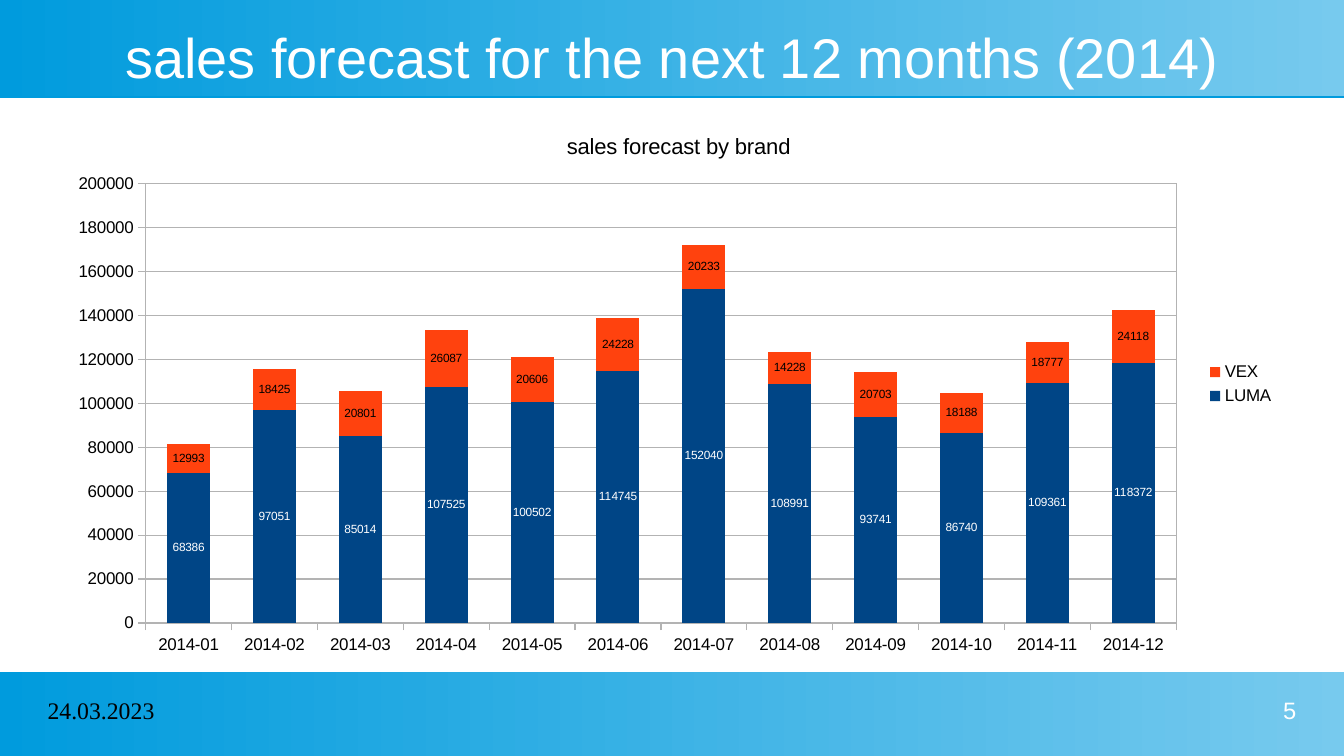
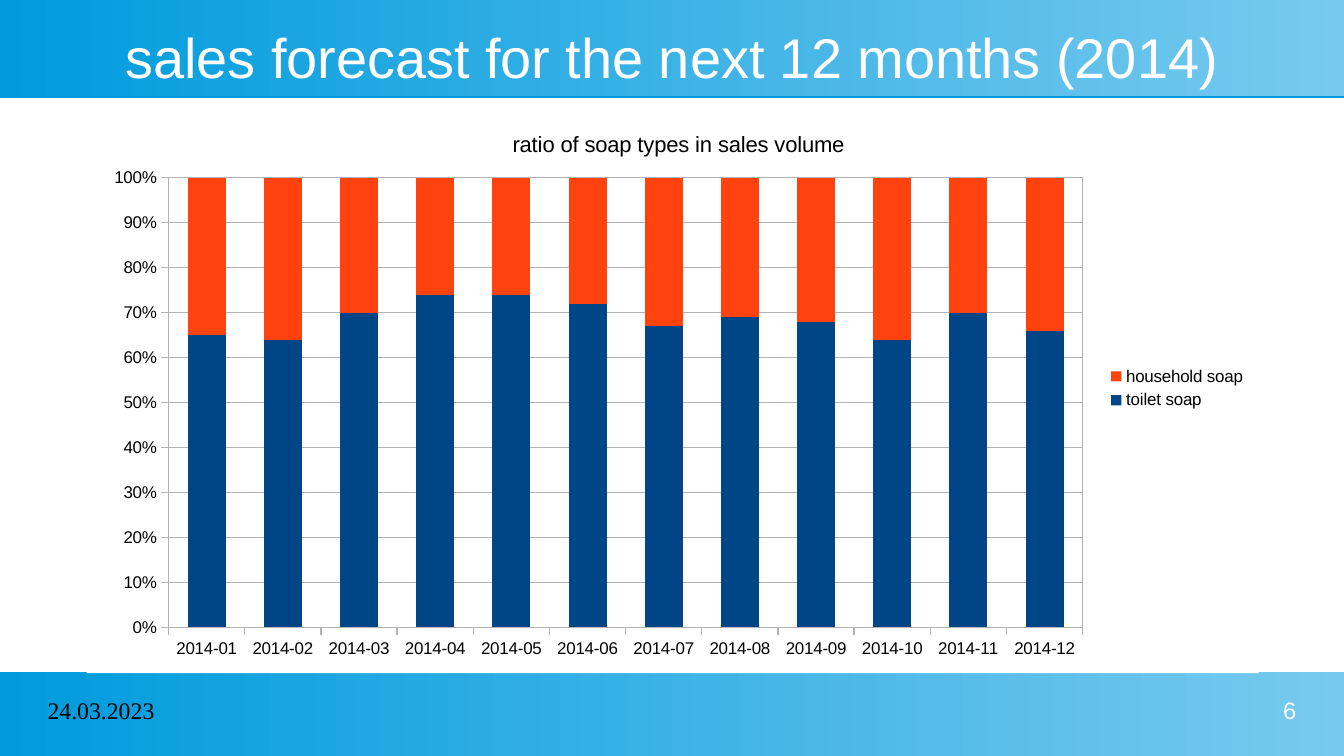
from lxml import etree
from pptx import Presentation
from pptx.chart.data import CategoryChartData
from pptx.dml.color import RGBColor
from pptx.enum.chart import XL_CHART_TYPE, XL_LABEL_POSITION, XL_LEGEND_POSITION, XL_TICK_MARK
from pptx.enum.shapes import MSO_SHAPE
from pptx.enum.text import MSO_ANCHOR, PP_ALIGN
from pptx.oxml import parse_xml
from pptx.oxml.ns import nsdecls, qn
from pptx.util import Inches, Pt

STACKED = XL_CHART_TYPE.COLUMN_STACKED
STACKED_100 = XL_CHART_TYPE.COLUMN_STACKED_100
CENTER, LEFT, RIGHT = PP_ALIGN.CENTER, PP_ALIGN.LEFT, PP_ALIGN.RIGHT
TOP, MIDDLE = MSO_ANCHOR.TOP, MSO_ANCHOR.MIDDLE
TICK_OUT = XL_TICK_MARK.OUTSIDE

WIDTH, HEIGHT, MARGIN = 11.02, 6.2, 0.39
BANDS = [(0, 0.79), (5.51, 0.69)]
FOOTER_TOP, FOOTER_WIDTH, FOOTER_HEIGHT = 5.71, 2.56, 0.39
BLUE, LIGHT_BLUE, GREY = "009BDD", "77CAEE", "B3B3B3"
WHITE, BLACK = "FFFFFF", "000000"
SERIES_STYLES = [("004586", WHITE), ("FF420E", BLACK)]  # fill, label
SANS, SERIF = "Arial", "Times New Roman"

HEADING = "sales forecast for the next 12 months (2014)"
DATE = "24.03.2023"
MONTHS = [f"2014-{month:02d}" for month in range(1, 13)]
SLIDES = [
    {
        "number": "5", "title": "sales forecast by brand", "type": STACKED,
        "at": (0.49, 0.87, 10.06, 4.56),
        "title_at": (0.41, 0.04), "plot_at": (0.07, 0.14, 0.84, 0.79),
        "format": "General", "scale": (200000, 20000), "labels": True,
        "series": [
            ("LUMA", [68386, 97051, 85014, 107525, 100502, 114745,
                      152040, 108991, 93741, 86740, 109361, 118372]),
            ("VEX", [12993, 18425, 20801, 26087, 20606, 24228,
                     20233, 14228, 20703, 18188, 18777, 24118]),
        ],
    },
    {
        "number": "6", "title": "ratio of soap types in sales volume", "type": STACKED_100,
        "at": (0.71, 0.85, 9.61, 4.67),
        "title_at": (0.36, 0.04), "plot_at": (0.07, 0.13, 0.78, 0.79),
        "format": "0%", "scale": None, "labels": False,
        "series": [
            ("toilet soap", [65, 64, 70, 74, 74, 72, 67, 69, 68, 64, 70, 66]),
            ("household soap", [35, 36, 30, 26, 26, 28, 33, 31, 32, 36, 30, 34]),
        ],
    },
]


def color(value):
    """Turn a hex string into a colour."""
    return RGBColor.from_string(value)


def style_font(font, size, shade=BLACK, name=SANS):
    """Set size, colour and typeface of a font."""
    font.size, font.name, font.bold = Pt(size), name, False
    font.color.rgb = color(shade)


def add_band(slide, top, height):
    """Draw a full-width gradient band with a thin blue edge below it."""
    band = slide.shapes.add_shape(
        MSO_SHAPE.RECTANGLE, 0, Inches(top), Inches(WIDTH), Inches(height))
    band.line.fill.background()
    band.fill.gradient()
    band.fill.gradient_angle = 180
    for stop, shade, position in zip(band.fill.gradient_stops, (LIGHT_BLUE, BLUE), (0, 1)):
        stop.color.rgb, stop.position = color(shade), position
    band.shadow.inherit = False
    effects = band._element.spPr.find(qn("a:effectLst"))
    edge = etree.SubElement(effects, qn("a:outerShdw"), blurRad="0",
                            dist=str(Pt(0.9)), dir="5400000", rotWithShape="0")
    etree.SubElement(edge, qn("a:srgbClr"), val=BLUE)


def add_text(slide, text, at, size, shade, align, name=SANS, anchor=TOP):
    """Add one line of text in a box without insets."""
    frame = slide.shapes.add_textbox(*map(Inches, at)).text_frame
    frame.word_wrap, frame.vertical_anchor = True, anchor
    frame.margin_left = frame.margin_right = frame.margin_top = frame.margin_bottom = 0
    paragraph = frame.paragraphs[0]
    paragraph.alignment = align
    run = paragraph.add_run()
    run.text = text
    style_font(run.font, size, shade, name)


def place(element, index, fractions, inner=False):
    """Fix a chart part at fractions of the chart area."""
    for old in element.findall(qn("c:layout")):
        element.remove(old)
    layout = parse_xml(f"<c:layout {nsdecls('c')}><c:manualLayout/></c:layout>")
    settings = [("layoutTarget", "inner")] if inner else []
    settings += [("xMode", "edge"), ("yMode", "edge")]
    settings += zip("xywh", fractions)
    for tag, value in settings:
        etree.SubElement(layout[0], qn(f"c:{tag}"), val=str(value))
    element.insert(index, layout)


def area_style(fill, line):
    """Return the shape properties of a chart area; None leaves a part out."""
    def paint(shade):
        return (f'<a:solidFill><a:srgbClr val="{shade}"/></a:solidFill>'
                if shade else "<a:noFill/>")
    return parse_xml(f"<c:spPr {nsdecls('c', 'a')}>{paint(fill)}"
                     f'<a:ln w="0">{paint(line)}</a:ln></c:spPr>')


def style_line(line):
    """Make an axis or grid line a grey hairline."""
    line.color.rgb, line.width = color(GREY), Pt(0)


def add_forecast(slide, content):
    """Add the stacked monthly column chart."""
    data = CategoryChartData()
    data.categories = MONTHS
    for name, values in content["series"]:
        data.add_series(name, values)
    chart = slide.shapes.add_chart(
        content["type"], *map(Inches, content["at"]), data).chart
    style_font(chart.font, 10)

    chart.has_title = True
    run = chart.chart_title.text_frame.paragraphs[0].add_run()
    run.text = content["title"]
    style_font(run.font, 13)
    chart.has_legend = True
    chart.legend.position = XL_LEGEND_POSITION.RIGHT
    chart.legend.include_in_layout = False
    style_font(chart.legend.font, 10)

    for axis in (chart.category_axis, chart.value_axis):
        axis.major_tick_mark = TICK_OUT
        style_font(axis.tick_labels.font, 10)
        style_line(axis.format.line)
    values_axis = chart.value_axis
    style_line(values_axis.major_gridlines.format.line)
    values_axis.tick_labels.number_format = content["format"]
    values_axis.tick_labels.number_format_is_linked = False
    values_axis.minimum_scale = 0
    if content["scale"]:
        values_axis.maximum_scale, values_axis.major_unit = content["scale"]

    plot = chart.plots[0]
    plot.gap_width, plot.overlap, plot.vary_by_categories = 100, 100, False
    for series, (fill, label_shade) in zip(plot.series, SERIES_STYLES):
        series.format.fill.solid()
        series.format.fill.fore_color.rgb = color(fill)
        if content["labels"]:
            labels = series.data_labels
            labels.show_value = True
            labels.position = XL_LABEL_POSITION.CENTER
            style_font(labels.font, 7, label_shade)

    chart_part = chart._chartSpace.find(qn("c:chart"))
    plot_area = chart_part.find(qn("c:plotArea"))
    place(chart_part.find(qn("c:title")), 1, content["title_at"])
    place(plot_area, 0, content["plot_at"], inner=True)
    plot_area.append(area_style(None, GREY))
    chart_part.addnext(area_style(WHITE, None))


def add_slide(deck, content):
    """Build one slide: bands, heading, chart and footer."""
    slide = deck.slides.add_slide(deck.slide_layouts[6])
    slide.background.fill.solid()
    slide.background.fill.fore_color.rgb = color(WHITE)
    for top, height in BANDS:
        add_band(slide, top, height)
    add_text(slide, HEADING, (MARGIN, 0.2, WIDTH - 2 * MARGIN, 0.52),
             33, WHITE, CENTER, anchor=MIDDLE)
    add_forecast(slide, content)
    footer = (FOOTER_TOP, FOOTER_WIDTH, FOOTER_HEIGHT)
    add_text(slide, content["number"], (WIDTH - MARGIN - FOOTER_WIDTH, *footer),
             14, WHITE, RIGHT)
    add_text(slide, DATE, (MARGIN, *footer), 14, BLACK, LEFT, SERIF)


deck = Presentation()
deck.slide_width, deck.slide_height = Inches(WIDTH), Inches(HEIGHT)
for slide_content in SLIDES:
    add_slide(deck, slide_content)
deck.save("out.pptx")
